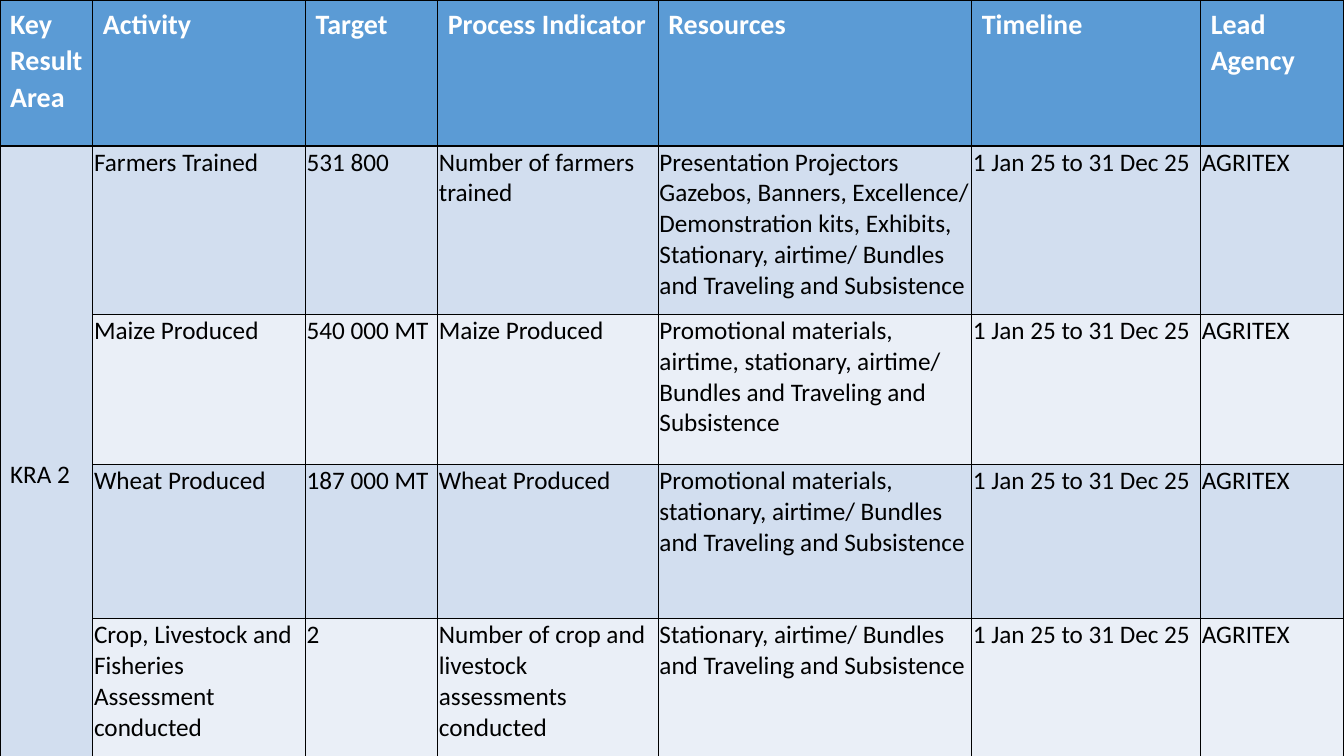
"""Builds the KRA 2 work plan table slide."""
import pptx
import pptx.dml.color
import pptx.enum.text
import pptx.oxml
import pptx.oxml.ns
import pptx.util

Cm = pptx.util.Cm
Pt = pptx.util.Pt

COLORS = {"header": "5B9BD5", "band": "D2DEEF", "pale": "EAEFF7",
          "white": "FFFFFF", "black": "000000"}
COLUMN_WIDTHS = [2.34, 5.36, 3.33, 5.56, 7.9, 5.77, 3.61]
ROW_HEIGHTS = [3.68, 4.24, 3.78, 3.89, 4.67]
HEADINGS = ["Key Result Area", "Activity", "Target", "Process Indicator",
            "Resources", "Timeline", "Lead Agency"]
RESULT_AREA = "KRA 2"
TIMELINE = "1 Jan 25 to 31 Dec 25"
AGENCY = "AGRITEX"
ACTIVITIES = [
    ("Farmers Trained", "531 800", "Number of farmers trained",
     "Presentation Projectors Gazebos, Banners, Excellence/ Demonstration kits, "
     "Exhibits, Stationary, airtime/ Bundles and Traveling and Subsistence"),
    ("Maize Produced", "540 000 MT", "Maize Produced",
     "Promotional materials, airtime, stationary, airtime/ Bundles and "
     "Traveling and Subsistence"),
    ("Wheat Produced", "187 000 MT", "Wheat Produced",
     "Promotional materials, stationary, airtime/ Bundles and Traveling "
     "and Subsistence"),
    ("Crop, Livestock and Fisheries Assessment conducted", "2",
     "Number of crop and livestock assessments conducted",
     "Stationary, airtime/ Bundles and Traveling and Subsistence"),
]


class PlanSlide:
    def __init__(self, page, font="Calibri"):
        self.page = page
        self.font = font

    def table(self, widths, heights):
        frame = self.page.shapes.add_table(
            len(heights), len(widths), 0, 0, Cm(sum(widths)), Cm(sum(heights)))
        grid = frame.table
        for column, width in zip(grid.columns, widths):
            column.width = Cm(width)
        for row, height in zip(grid.rows, heights):
            row.height = Cm(height)
        return grid

    def paint(self, cell, fill):
        properties = cell._tc.get_or_add_tcPr()
        for side in ("lnL", "lnR", "lnT", "lnB"):
            properties.append(pptx.oxml.parse_xml(
                f'<a:{side} {pptx.oxml.ns.nsdecls("a")} w="{Pt(1)}"><a:solidFill>'
                f'<a:srgbClr val="{COLORS["black"]}"/></a:solidFill></a:{side}>'))
        cell.fill.solid()
        cell.fill.fore_color.rgb = pptx.dml.color.RGBColor.from_string(COLORS[fill])

    def label(self, cell, text, size=18, color="black", bold=False):
        para = cell.text_frame.paragraphs[0]
        span = para.add_run()
        span.text = text
        span.font.name = self.font
        span.font.size = Pt(size)
        span.font.bold = bold
        span.font.color.rgb = pptx.dml.color.RGBColor.from_string(COLORS[color])
        return para

    def heading(self, cell, text):
        para = self.label(cell, text, 20, "white", True)
        para.line_spacing = 1.07
        para.space_after = Pt(8)

    def entry(self, cell, text):
        cell.margin_left = cell.margin_right = cell.margin_top = Cm(0.03)
        cell.margin_bottom = 0
        self.label(cell, text)


def main():
    deck = pptx.Presentation()
    deck.slide_width = Cm(33.87)
    deck.slide_height = Cm(19.05)
    plan = PlanSlide(deck.slides.add_slide(deck.slide_layouts[6]))
    grid = plan.table(COLUMN_WIDTHS, ROW_HEIGHTS)

    for column, text in enumerate(HEADINGS):
        plan.paint(grid.cell(0, column), "header")
        plan.heading(grid.cell(0, column), text)

    for row, activity in enumerate(ACTIVITIES, start=1):
        fill = "band" if row % 2 else "pale"
        plan.paint(grid.cell(row, 0), "band")
        for column, text in enumerate((*activity, TIMELINE, AGENCY), start=1):
            plan.paint(grid.cell(row, column), fill)
            plan.entry(grid.cell(row, column), text)

    area = grid.cell(1, 0)
    area.merge(grid.cell(len(ACTIVITIES), 0))
    area.vertical_anchor = pptx.enum.text.MSO_ANCHOR.MIDDLE
    plan.label(area, RESULT_AREA)
    deck.save("out.pptx")


if __name__ == "__main__":
    main()
